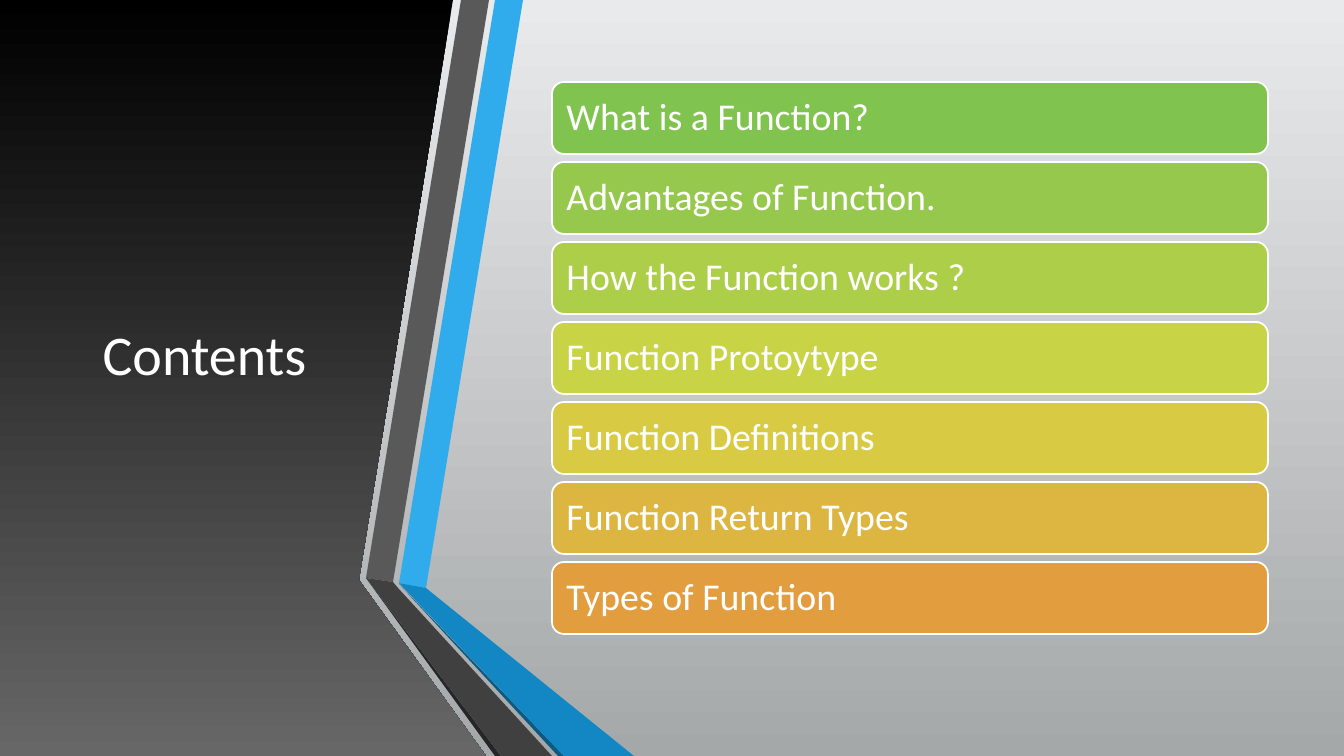
"""Build the contents slide: a dark title panel, folded ribbons and seven topic cards."""
from dataclasses import dataclass

from pptx import Presentation
from pptx.dml.color import RGBColor
from pptx.enum.shapes import MSO_SHAPE
from pptx.enum.text import MSO_ANCHOR, PP_ALIGN
from pptx.util import Emu, Pt

ROUNDED = MSO_SHAPE.ROUNDED_RECTANGLE
MIDDLE = MSO_ANCHOR.MIDDLE
LEFT, CENTER = PP_ALIGN.LEFT, PP_ALIGN.CENTER
EMU_PER_PX = 9525 / 1.05


@dataclass(frozen=True)
class Theme:
    font: str = "Calibri"
    title_size: int = 40
    topic_size: int = 27
    border: float = 1.25
    white: str = "FFFFFF"
    backdrop: tuple = ("E9EAEB", "A5A8A9")
    panel: tuple = ("000000", "676767")
    blue: str = "30ACEC"
    blue_fold: str = "1287C3"
    blue_shade: str = "0C5A82"
    gray: str = "595959"
    gray_fold: str = "404040"
    gray_shade: str = "262626"
    cards: tuple = ("80C34F", "95C84C", "ADCE49", "C8D346", "D8CB43", "DDB541", "E29D3E")


THEME = Theme()
WIDTH, HEIGHT = 1344, 756
CARD_LEFT, CARD_TOP, CARD_WIDTH, CARD_HEIGHT, CARD_PITCH = 552, 82, 716, 72, 80
CARD_INSET = 11
TOPICS = [
    "What is a Function?",
    "Advantages of Function.",
    "How the Function works ?",
    "Function Protoytype",
    "Function Definitions",
    "Function Return Types",
    "Types of Function",
]
OUTLINES = [
    (THEME.panel, [(0, 0), (453, 0), (359, 580), (486, HEIGHT), (0, HEIGHT)]),
    (THEME.blue, [(399, 583), (426, 588), (523, 0), (495, 0)]),
    (THEME.gray, [(489, 0), (461, 0), (366, 578), (393, 582)]),
    (THEME.gray_shade, [(366, 578), (495, HEIGHT), (501, HEIGHT)]),
    (THEME.blue_shade, [(399, 584), (558, HEIGHT), (564, HEIGHT)]),
    (THEME.blue_fold, [(399, 583), (564, HEIGHT), (634, HEIGHT), (426, 588)]),
    (THEME.gray_fold, [(552, HEIGHT), (398, 588), (393, 582), (366, 578), (501, HEIGHT)]),
]


def paint(fill, color):
    if isinstance(color, str):
        fill.solid()
        fill.fore_color.rgb = RGBColor.from_string(color)
        return
    fill.gradient()
    fill.gradient_angle = 270
    for stop, shade in zip(fill.gradient_stops, color):
        stop.color.rgb = RGBColor.from_string(shade)


def write(shape, text, size, align):
    frame = shape.text_frame
    frame.word_wrap = True
    frame.vertical_anchor = MIDDLE
    paragraph = frame.paragraphs[0]
    paragraph.alignment = align
    paragraph.line_spacing = 0.9
    run = paragraph.add_run()
    run.text = text
    run.font.name = THEME.font
    run.font.size = Pt(size)
    run.font.color.rgb = RGBColor.from_string(THEME.white)
    return frame


deck = Presentation()
deck.slide_width, deck.slide_height = (Emu(round(px * EMU_PER_PX)) for px in (WIDTH, HEIGHT))
slide = deck.slides.add_slide(deck.slide_layouts[6])
paint(slide.background.fill, THEME.backdrop)

for color, corners in OUTLINES:
    builder = slide.shapes.build_freeform(*corners[0], scale=EMU_PER_PX)
    builder.add_line_segments(corners[1:], close=True)
    ribbon = builder.convert_to_shape()
    ribbon.shadow.inherit = False
    ribbon.line.fill.background()
    paint(ribbon.fill, color)

title_box = [Emu(round(px * EMU_PER_PX)) for px in (59, 76, 291, 562)]
write(slide.shapes.add_textbox(*title_box), "Contents", THEME.title_size, CENTER)

for row, (topic, color) in enumerate(zip(TOPICS, THEME.cards)):
    card_box = (CARD_LEFT, CARD_TOP + row * CARD_PITCH, CARD_WIDTH, CARD_HEIGHT)
    card = slide.shapes.add_shape(ROUNDED, *(Emu(round(px * EMU_PER_PX)) for px in card_box))
    card.shadow.inherit = False
    paint(card.fill, color)
    paint(card.line.fill, THEME.white)
    card.line.width = Pt(THEME.border)
    frame = write(card, topic, THEME.topic_size, LEFT)
    frame.margin_left = frame.margin_right = Emu(round(CARD_INSET * EMU_PER_PX))

deck.save("out.pptx")
